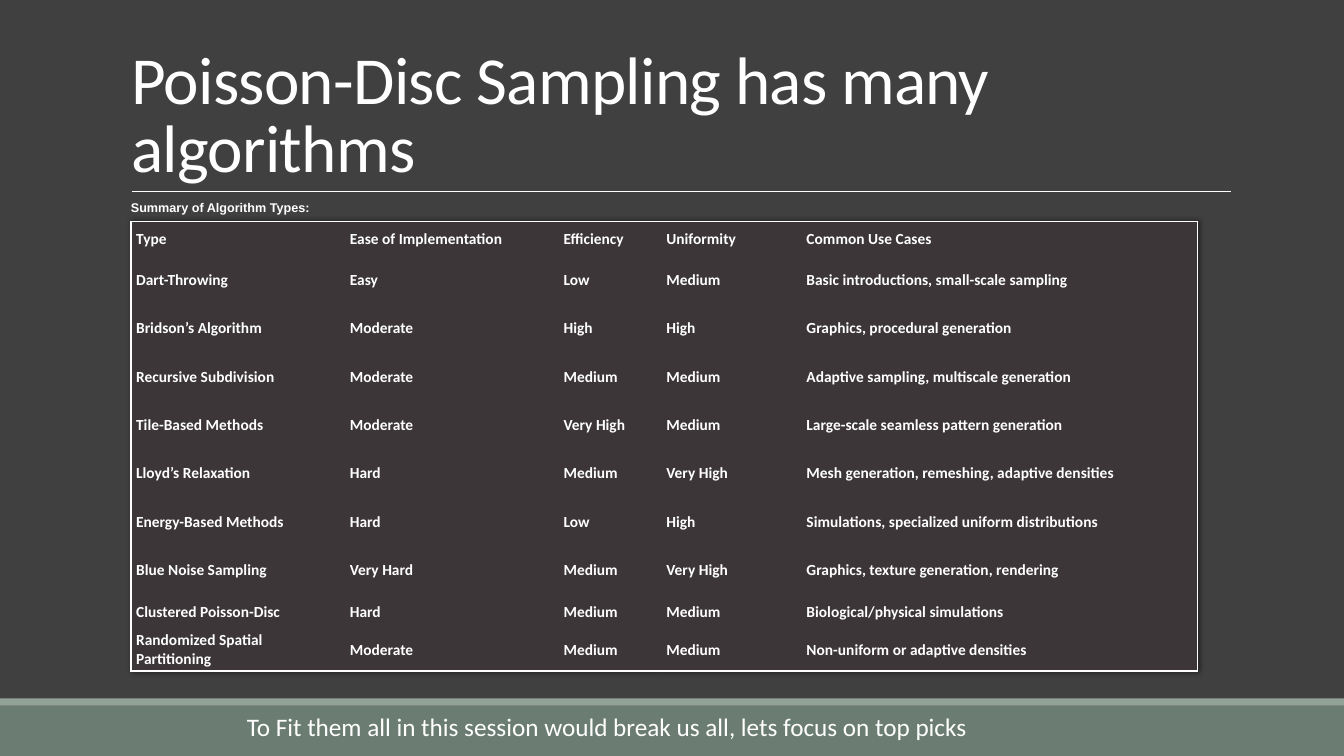
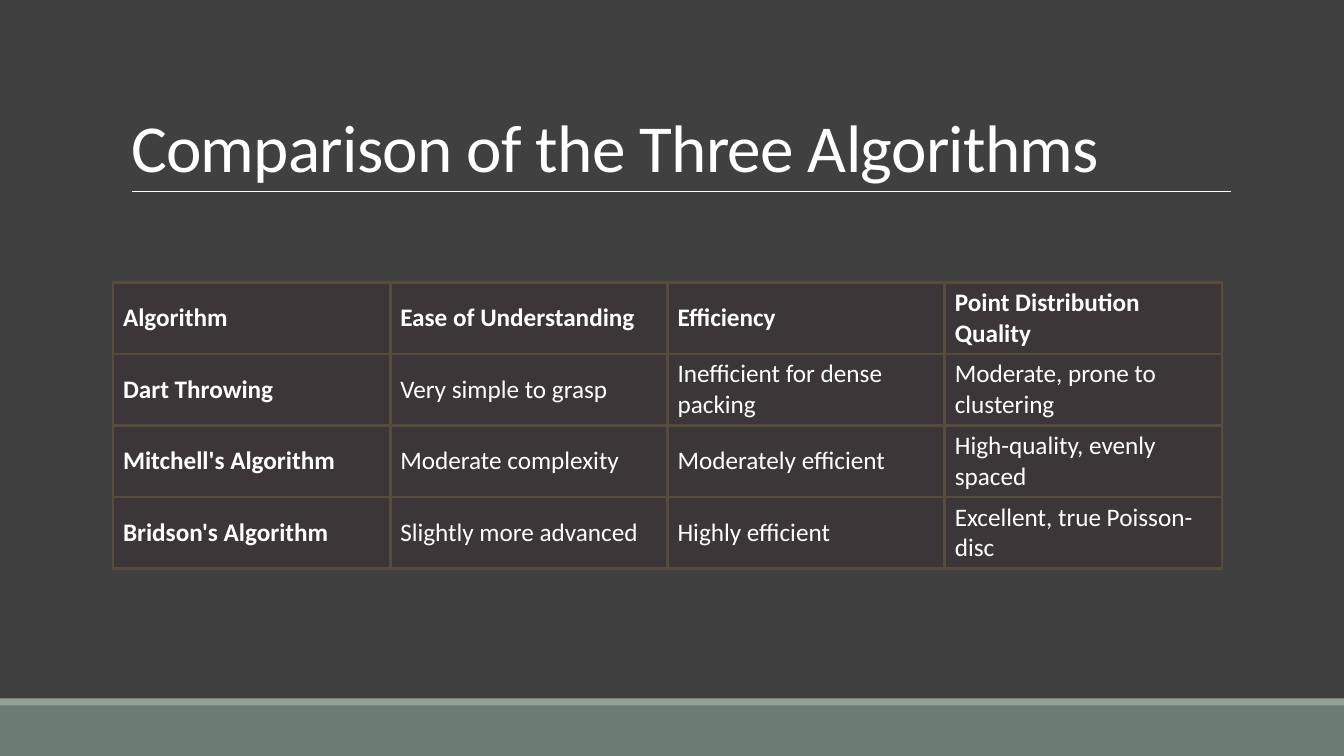
from dataclasses import dataclass

from lxml import etree
from pptx import Presentation
from pptx.dml.color import RGBColor
from pptx.enum import shapes, text
from pptx.oxml import ns
from pptx.util import Inches, Pt

BACKGROUND = RGBColor(0x40, 0x40, 0x40)
BAND = RGBColor(0x6B, 0x7D, 0x72)
BAND_EDGE = RGBColor(0x93, 0xA2, 0x99)
CELL = RGBColor(0x3C, 0x36, 0x38)
GRID = RGBColor(0x56, 0x4B, 0x3C)
WHITE = RGBColor(0xFF, 0xFF, 0xFF)

FONT = "Calibri"
TITLE_ONLY = 5


@dataclass(frozen=True)
class TextStyle:
    size: float
    bold: bool = False
    font: str = FONT


@dataclass(frozen=True)
class Band:
    top: float
    height: float
    color: RGBColor


@dataclass(frozen=True)
class TableDesign:
    left: float
    top: float
    columns: list[float]
    rows: list[float]
    size: float
    margins: tuple[float, float]  # sides, top and bottom
    border: RGBColor
    border_width: float
    inner_grid: bool
    all_bold: bool
    shadow: bool


BANDS = [Band(7, 0.5, BAND), Band(6.93, 0.07, BAND_EDGE)]

SUMMARY_DESIGN = TableDesign(
    left=1.3, top=2.2, columns=[2.12, 2.12, 1.02, 1.39, 3.93],
    rows=[0.34] + [0.48] * 7 + [0.34] * 2, size=11, margins=(0.05, 0.02),
    border=WHITE, border_width=1, inner_grid=False, all_bold=True, shadow=True)
COMPARISON_DESIGN = TableDesign(
    left=1.12, top=2.8, columns=[2.75] * 4, rows=[0.71] * 4, size=18,
    margins=(0.1, 0.05), border=GRID, border_width=2.25, inner_grid=True,
    all_bold=False, shadow=False)

SUMMARY = [
    ("Type", "Ease of Implementation", "Efficiency", "Uniformity", "Common Use Cases"),
    ("Dart-Throwing", "Easy", "Low", "Medium", "Basic introductions, small-scale sampling"),
    ("Bridson’s Algorithm", "Moderate", "High", "High", "Graphics, procedural generation"),
    ("Recursive Subdivision", "Moderate", "Medium", "Medium",
     "Adaptive sampling, multiscale generation"),
    ("Tile-Based Methods", "Moderate", "Very High", "Medium",
     "Large-scale seamless pattern generation"),
    ("Lloyd’s Relaxation", "Hard", "Medium", "Very High",
     "Mesh generation, remeshing, adaptive densities"),
    ("Energy-Based Methods", "Hard", "Low", "High",
     "Simulations, specialized uniform distributions"),
    ("Blue Noise Sampling", "Very Hard", "Medium", "Very High",
     "Graphics, texture generation, rendering"),
    ("Clustered Poisson-Disc", "Hard", "Medium", "Medium", "Biological/physical simulations"),
    ("Randomized Spatial Partitioning", "Moderate", "Medium", "Medium",
     "Non-uniform or adaptive densities"),
]
COMPARISON = [
    ("Algorithm", "Ease of Understanding", "Efficiency", "Point Distribution Quality"),
    ("Dart Throwing", "Very simple to grasp", "Inefficient for dense packing",
     "Moderate, prone to clustering"),
    ("Mitchell's Algorithm", "Moderate complexity", "Moderately efficient",
     "High-quality, evenly spaced"),
    ("Bridson's Algorithm", "Slightly more advanced", "Highly efficient",
     "Excellent, true Poisson-disc"),
]


def add_run(paragraph, words: str, style: TextStyle):
    run = paragraph.add_run()
    run.text = words
    run.font.size = Pt(style.size)
    run.font.bold = style.bold
    run.font.name = style.font
    run.font.color.rgb = WHITE
    return run


def style_master(presentation, slide) -> None:
    """Give every slide its background, bands, title rule and title place."""
    master = presentation.slide_master
    master.background.fill.solid()
    master.background.fill.fore_color.rgb = BACKGROUND

    # Bands and rule are drawn on a slide, then moved to the master
    for band in BANDS:
        shape = slide.shapes.add_shape(
            shapes.MSO_SHAPE.RECTANGLE, 0, Inches(band.top),
            presentation.slide_width, Inches(band.height))
        shape.shadow.inherit = False
        shape.fill.solid()
        shape.fill.fore_color.rgb = band.color
        shape.line.fill.background()
        master.shapes.element.append(shape.element)
    rule = slide.shapes.add_connector(
        shapes.MSO_CONNECTOR.STRAIGHT,
        Inches(1.31), Inches(1.9), Inches(12.21), Inches(1.9))
    rule.line.color.rgb = WHITE
    rule.line.width = Pt(0.5)
    etree.SubElement(rule.element.spPr, ns.qn("a:effectLst"))
    master.shapes.element.append(rule.element)

    title = presentation.slide_layouts[TITLE_ONLY].placeholders[0]
    title.left, title.top = Inches(1.2), Inches(0.31)
    title.width, title.height = Inches(11), Inches(1.59)


def set_title(slide, words: str) -> None:
    frame = slide.shapes.title.text_frame
    frame.auto_size = text.MSO_AUTO_SIZE.NONE
    frame.vertical_anchor = text.MSO_ANCHOR.BOTTOM
    paragraph = frame.paragraphs[0]
    paragraph.alignment = text.PP_ALIGN.LEFT
    paragraph.line_spacing = 0.85
    run = add_run(paragraph, words, TextStyle(48))
    run.font._element.set("spc", "-50")


def add_label(slide, words: str, left: float, top: float, width: float,
              height: float, style: TextStyle) -> None:
    frame = slide.shapes.add_textbox(
        Inches(left), Inches(top), Inches(width), Inches(height)).text_frame
    frame.word_wrap = True
    frame.vertical_anchor = text.MSO_ANCHOR.MIDDLE
    add_run(frame.paragraphs[0], words, style)


def add_border(cell, side: str, design: TableDesign, visible: bool) -> None:
    line = etree.SubElement(cell._tc.get_or_add_tcPr(), ns.qn(f"a:ln{side}"))
    if visible:
        line.set("w", str(Pt(design.border_width)))
        fill = etree.SubElement(line, ns.qn("a:solidFill"))
        etree.SubElement(fill, ns.qn("a:srgbClr"), val=str(design.border))
    else:
        etree.SubElement(line, ns.qn("a:noFill"))


def add_table_shadow(table) -> None:
    effects = etree.Element(ns.qn("a:effectLst"))
    shadow = etree.SubElement(effects, ns.qn("a:outerShdw"), blurRad=str(Pt(4)),
                              dist=str(Pt(1)), dir="0", rotWithShape="0")
    color = etree.SubElement(shadow, ns.qn("a:srgbClr"), val="000000")
    etree.SubElement(color, ns.qn("a:alpha"), val="50000")
    table._tbl.tblPr.insert(0, effects)


def add_table(slide, records: list[tuple[str, ...]], design: TableDesign) -> None:
    table = slide.shapes.add_table(
        len(design.rows), len(design.columns), Inches(design.left), Inches(design.top),
        Inches(sum(design.columns)), Inches(sum(design.rows))).table
    table.first_row = table.horz_banding = False
    for column, width in zip(table.columns, design.columns):
        column.width = Inches(width)
    for row, height in zip(table.rows, design.rows):
        row.height = Inches(height)
    if design.shadow:
        add_table_shadow(table)

    last_row, last_column = len(design.rows) - 1, len(design.columns) - 1
    side_margin, end_margin = map(Inches, design.margins)
    for r, record in enumerate(records):
        for c, words in enumerate(record):
            cell = table.cell(r, c)
            outer_sides = {"L": c == 0, "R": c == last_column,
                           "T": r == 0, "B": r == last_row}
            for side, is_outer in outer_sides.items():
                add_border(cell, side, design, is_outer or design.inner_grid)
            cell.fill.solid()
            cell.fill.fore_color.rgb = CELL
            cell.vertical_anchor = text.MSO_ANCHOR.MIDDLE
            cell.margin_left = cell.margin_right = side_margin
            cell.margin_top = cell.margin_bottom = end_margin
            bold = design.all_bold or r == 0 or c == 0
            add_run(cell.text_frame.paragraphs[0], words, TextStyle(design.size, bold))


def main() -> None:
    presentation = Presentation()
    presentation.slide_width, presentation.slide_height = Inches(13.33), Inches(7.5)
    layout = presentation.slide_layouts[TITLE_ONLY]

    # Summary of all algorithm types
    summary = presentation.slides.add_slide(layout)
    style_master(presentation, summary)
    set_title(summary, "Poisson-Disc Sampling has many algorithms")
    add_table(summary, SUMMARY, SUMMARY_DESIGN)
    add_label(summary, "Summary of Algorithm Types:", 1.2, 1.93, 3, 0.25,
              TextStyle(9, bold=True, font="Arial"))
    add_label(summary,
              "To Fit them all in this session would break us all, lets focus on top picks",
              2.35, 7.01, 9.95, 0.4, TextStyle(18))

    # Comparison of the three chosen algorithms
    comparison = presentation.slides.add_slide(layout)
    set_title(comparison, "Comparison of the Three Algorithms")
    add_table(comparison, COMPARISON, COMPARISON_DESIGN)

    presentation.save("out.pptx")


if __name__ == "__main__":
    main()
